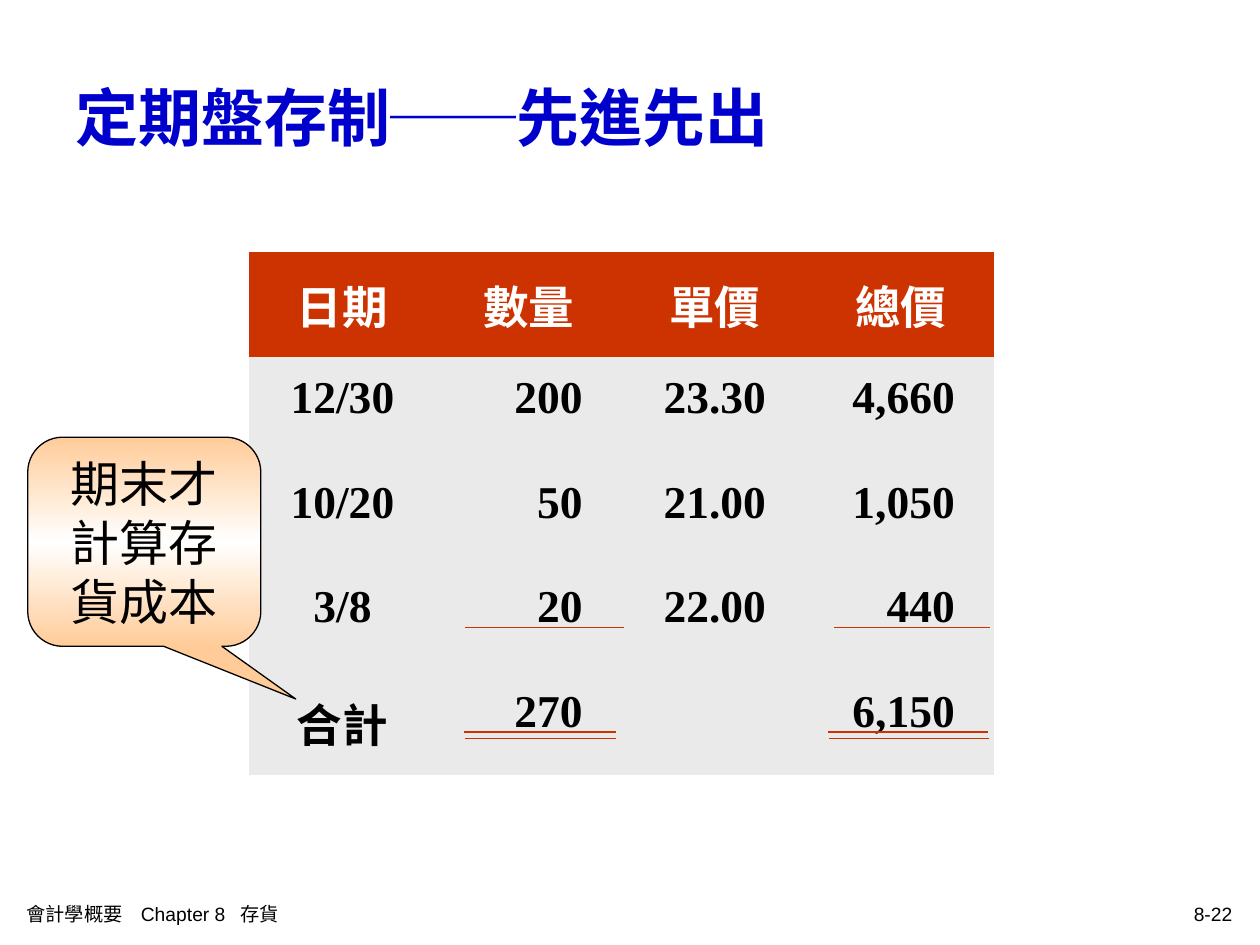
from copy import deepcopy
from dataclasses import dataclass

from lxml import etree
from pptx import Presentation
from pptx.dml.color import RGBColor
from pptx.enum.lang import MSO_LANGUAGE_ID
from pptx.enum.shapes import MSO_CONNECTOR, MSO_SHAPE
from pptx.enum.text import MSO_ANCHOR, PP_ALIGN
from pptx.oxml.ns import qn
from pptx.util import Inches, Pt

LEFT, CENTER, RIGHT = PP_ALIGN.LEFT, PP_ALIGN.CENTER, PP_ALIGN.RIGHT
MIDDLE = MSO_ANCHOR.MIDDLE
STRAIGHT = MSO_CONNECTOR.STRAIGHT
CALLOUT = MSO_SHAPE.ROUNDED_RECTANGULAR_CALLOUT
CHINESE = MSO_LANGUAGE_ID.TRADITIONAL_CHINESE
BLANK_LAYOUT = 6
PLAIN_TABLE_STYLE = "{2D5ABB26-0587-4C30-8999-92F81FD0307C}"


@dataclass(frozen=True)
class Theme:
    serif: str = "Times New Roman"
    sans: str = "Arial"
    blue: RGBColor = RGBColor(0x00, 0x00, 0xCC)
    red: RGBColor = RGBColor(0xCC, 0x33, 0x00)
    gray: RGBColor = RGBColor(0xEA, 0xEA, 0xEA)
    peach: RGBColor = RGBColor(0xFF, 0xCC, 0x99)
    white: RGBColor = RGBColor(0xFF, 0xFF, 0xFF)
    black: RGBColor = RGBColor(0x00, 0x00, 0x00)
    title_size: Pt = Pt(36)
    callout_size: Pt = Pt(28)
    table_size: Pt = Pt(26)
    footer_size: Pt = Pt(11)
    line_width: Pt = Pt(0.75)


THEME = Theme()
TITLE_FONT = {"name": THEME.serif, "size": THEME.title_size, "bold": True, "color": THEME.blue}
HEADER_FONT = {"name": THEME.serif, "size": THEME.table_size, "bold": True, "color": THEME.white}
BODY_FONT = {**HEADER_FONT, "color": THEME.black}
CALLOUT_FONT = {"name": THEME.sans, "size": THEME.callout_size, "color": THEME.black}
FOOTER_FONT = {**CALLOUT_FONT, "size": THEME.footer_size}
CELL_PARAGRAPH = {"line_spacing": 1.2, "space_before": Pt(6.5)}

INVENTORY = [
    ["日期", "數量", "單價", "總價"],
    ["12/30", "200", "23.30", "4,660"],
    ["10/20", "50", "21.00", "1,050"],
    ["3/8", "20", "22.00", "440"],
    ["合計", "270", "", "6,150"],
]
AMOUNT_COLUMNS = (1, 3)
# Left end, right end and height of each rule under the amounts
SUM_RULES = [
    (3.69, 4.95, 4.98), (6.62, 7.86, 4.98),
    (3.68, 4.89, 5.81), (3.69, 4.89, 5.86),
    (6.57, 7.84, 5.81), (6.58, 7.85, 5.86),
]


def inches(*lengths):
    return [Inches(length) for length in lengths]


def set_format(target, values):
    for name, value in values.items():
        setattr(target, name, value)


def write_text(frame, text, font, align=LEFT):
    para = frame.paragraphs[0]
    para.alignment = align
    span = para.add_run()
    span.text = text
    set_format(span.font, {k: v for k, v in font.items() if k != "color"})
    span.font.language_id = CHINESE
    span.font.color.rgb = font["color"]
    return para


def add_text(page, area, text, font, align=LEFT):
    frame = page.shapes.add_textbox(*inches(*area)).text_frame
    set_format(frame, {"word_wrap": True, "vertical_anchor": MIDDLE})
    return write_text(frame, text, font, align)


def set_tab_stops(para, positions):
    tab_list = etree.SubElement(para._p.get_or_add_pPr(), qn("a:tabLst"))
    for position in positions:
        etree.SubElement(tab_list, qn("a:tab"), pos=str(Inches(position)), algn="l")


def add_inventory_table(page):
    size = len(INVENTORY), len(INVENTORY[0])
    table = page.shapes.add_table(*size, *inches(1.98, 2, 5.91, 4.15)).table
    set_format(table, {"first_row": False, "horz_banding": False})
    table._tbl.tblPr.find(qn("a:tableStyleId")).text = PLAIN_TABLE_STYLE
    for row, texts in enumerate(INVENTORY):
        for column, text in enumerate(texts):
            cell = table.cell(row, column)
            cell.fill.solid()
            cell.fill.fore_color.rgb = THEME.gray if row else THEME.red
            if not text:
                continue
            is_amount = row > 0 and column in AMOUNT_COLUMNS
            if is_amount:
                cell.margin_right = Inches(0.31)
            para = write_text(cell.text_frame, text, BODY_FONT if row else HEADER_FONT,
                              RIGHT if is_amount else CENTER)
            set_format(para, CELL_PARAGRAPH)


def add_rule(page, left, right, height):
    rule = page.shapes.add_connector(STRAIGHT, *inches(left, height, right, height))
    rule.line.color.rgb = THEME.red
    rule.line.width = THEME.line_width
    etree.SubElement(rule._element.spPr, qn("a:effectLst"))


def fill_with_band(shape, edge, middle):
    """Shade the shape from edge to middle colour and back, top to bottom."""
    shape.fill.gradient()
    shape.fill.gradient_angle = 90
    stop_list = shape._element.spPr.find(".//" + qn("a:gsLst"))
    stop_list.insert(1, deepcopy(stop_list[0]))
    stops = zip(shape.fill.gradient_stops, (0, 0.5, 1), (edge, middle, edge))
    for stop, position, color in stops:
        stop.position = position
        stop.color.rgb = color


def add_callout(page, area, text):
    callout = page.shapes.add_shape(CALLOUT, *inches(*area))
    callout.shadow.inherit = False
    for index, value in enumerate((0.65, 0.752, 0.167)):
        callout.adjustments[index] = value
    fill_with_band(callout, THEME.peach, THEME.white)
    callout.line.color.rgb = THEME.black
    callout.line.width = THEME.line_width
    set_format(callout.text_frame, {"word_wrap": True, "vertical_anchor": MIDDLE})
    write_text(callout.text_frame, text, CALLOUT_FONT, CENTER)


def main():
    deck = Presentation()
    deck.slide_width, deck.slide_height = inches(10, 7.5)
    page = deck.slides.add_slide(deck.slide_layouts[BLANK_LAYOUT])
    add_text(page, (0.5, 0.3, 9, 1.25), "定期盤存制──先進先出", TITLE_FONT)
    add_inventory_table(page)
    for rule in SUM_RULES:
        add_rule(page, *rule)
    add_callout(page, (0.22, 3.47, 1.85, 1.66), "期末才計算存貨成本")
    footer = add_text(page, (0.11, 7.09, 5.1, 0.33), "會計學概要\tChapter 8\t存貨", FOOTER_FONT)
    set_tab_stops(footer, (0.91, 1.7))
    add_text(page, (6.78, 7.09, 3.1, 0.33), "8-22", FOOTER_FONT, RIGHT)
    deck.save("out.pptx")


if __name__ == "__main__":
    main()
